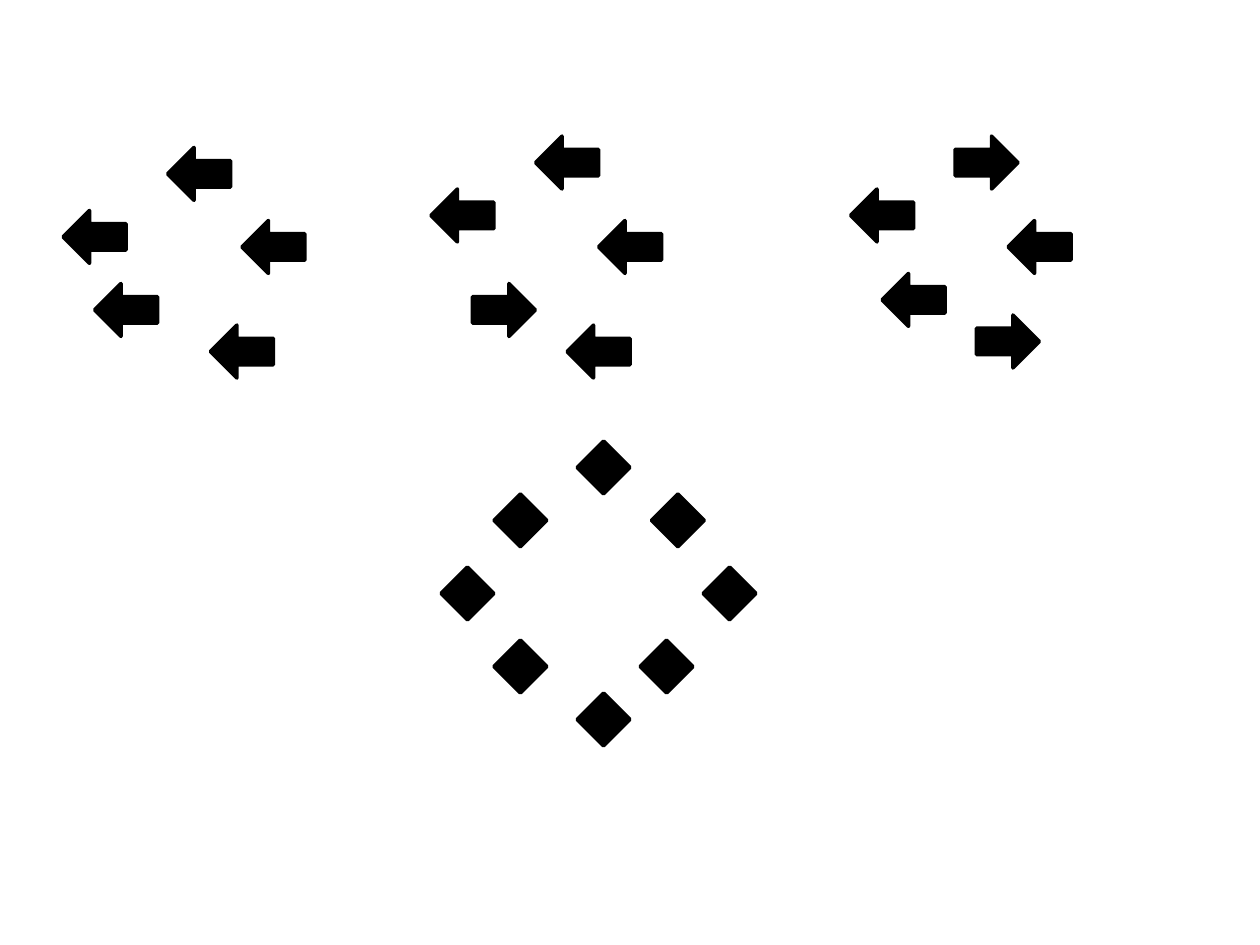
from dataclasses import dataclass

from pptx import Presentation
from pptx.dml.color import RGBColor
from pptx.enum.shapes import MSO_SHAPE
from pptx.util import Inches, Pt


@dataclass(frozen=True)
class Theme:
    ink: RGBColor = RGBColor(0, 0, 0)
    outline: Pt = Pt(2)
    arrow_width: float = 0.5
    mark_size: float = 0.42


LEFT, RIGHT = 180, 0

ARROW_GROUPS = [
    [(1.33, 1.17, LEFT), (0.5, 1.67, LEFT), (0.75, 2.25, LEFT),
     (1.67, 2.58, LEFT), (1.92, 1.75, LEFT)],
    [(3.75, 2.25, RIGHT), (4.25, 1.08, LEFT), (3.42, 1.5, LEFT),
     (4.5, 2.58, LEFT), (4.75, 1.75, LEFT)],
    [(6.75, 1.5, LEFT), (7, 2.17, LEFT), (8, 1.75, LEFT),
     (7.58, 1.08, RIGHT), (7.75, 2.5, RIGHT)],
]

DIAMOND_RING = [
    (4.58, 3.5), (3.92, 3.92), (3.5, 4.5), (5.17, 3.92),
    (5.58, 4.5), (3.92, 5.08), (4.58, 5.5), (5.08, 5.08),
]


class SlideBuilder:
    def __init__(self, slide, theme):
        self.slide = slide
        self.theme = theme

    def add_mark(self, kind, left, top, width):
        shape = self.slide.shapes.add_shape(
            kind, Inches(left), Inches(top),
            Inches(width), Inches(self.theme.mark_size))
        shape.shadow.inherit = False
        shape.fill.solid()
        shape.fill.fore_color.rgb = self.theme.ink
        shape.line.color.rgb = self.theme.ink
        shape.line.width = self.theme.outline
        return shape

    def add_arrow(self, left, top, rotation):
        arrow = self.add_mark(
            MSO_SHAPE.RIGHT_ARROW, left, top, self.theme.arrow_width)
        arrow.rotation = rotation

    def add_diamond(self, left, top):
        self.add_mark(MSO_SHAPE.DIAMOND, left, top, self.theme.mark_size)


def main():
    presentation = Presentation()
    presentation.slide_width = Inches(10)
    presentation.slide_height = Inches(7.5)
    slide = presentation.slides.add_slide(presentation.slide_layouts[6])
    builder = SlideBuilder(slide, Theme())

    for group in ARROW_GROUPS:
        for left, top, rotation in group:
            builder.add_arrow(left, top, rotation)
    for left, top in DIAMOND_RING:
        builder.add_diamond(left, top)

    presentation.save("out.pptx")


if __name__ == "__main__":
    main()
